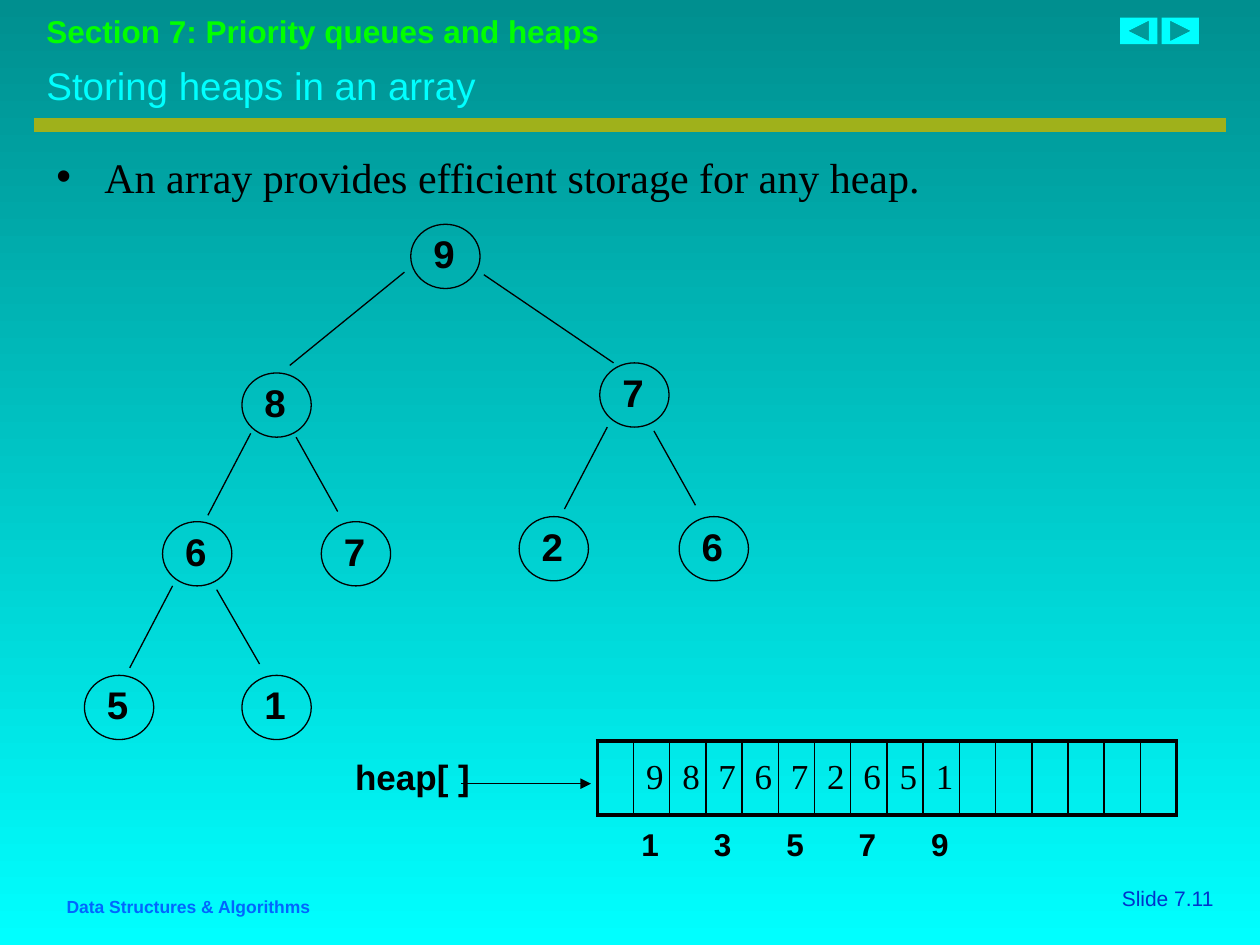
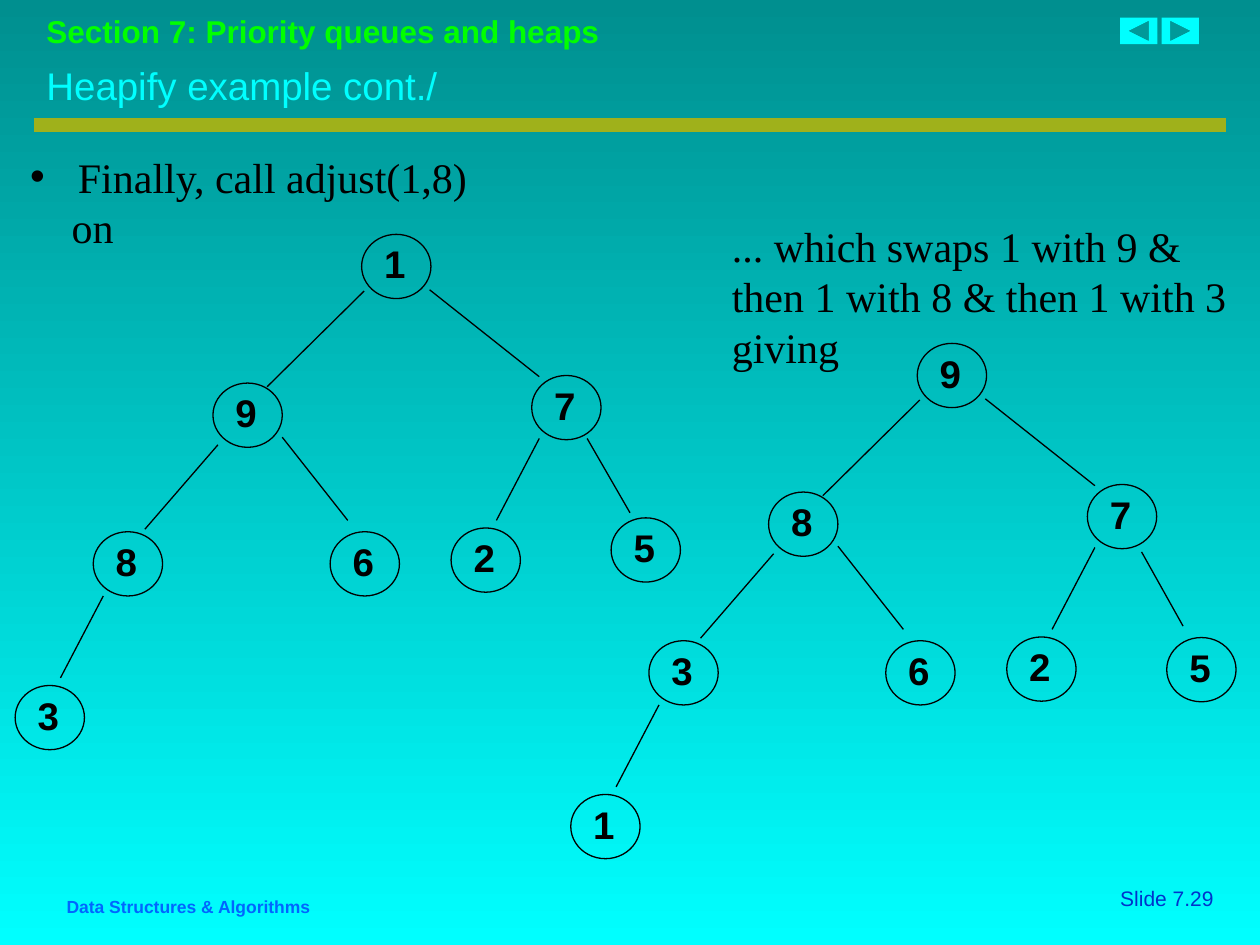
from lxml.etree import SubElement
from pptx import Presentation
from pptx.dml.color import RGBColor
from pptx.enum.shapes import MSO_CONNECTOR, MSO_SHAPE as Shape
from pptx.enum.text import MSO_ANCHOR as Anchor, PP_ALIGN as Align
from pptx.oxml.ns import qn
from pptx.util import Inches, Pt

TEAL = RGBColor(0x00, 0x8F, 0x8F)
CYAN = RGBColor(0x00, 0xFF, 0xFF)
OLIVE = RGBColor(0x9F, 0xB1, 0x1B)
GREEN = RGBColor(0x00, 0xFF, 0x00)
NAVY = RGBColor(0x00, 0x33, 0xCC)
BLUE = RGBColor(0x00, 0x66, 0xFF)
BLACK = RGBColor(0x00, 0x00, 0x00)
SANS, SERIF = "Arial", "Times New Roman"

deck = Presentation()
deck.slide_width, deck.slide_height = Inches(10), Inches(7.5)
COL = deck.slide_width // 100
ROW = deck.slide_height // 75
NODE_W, NODE_H = 5.5, 5.1


def write(slide, text, x, y, w, h, size, color=BLACK, font=SANS, bold=False,
          wrap=True, align=Align.LEFT, anchor=Anchor.TOP, indents=()):
    box = slide.shapes.add_textbox(int(x * COL), int(y * ROW), int(w * COL), int(h * ROW))
    frame = box.text_frame
    frame.text = text
    frame.word_wrap = wrap
    frame.vertical_anchor = anchor
    for indent, paragraph in zip(indents, frame.paragraphs):
        props = paragraph._p.get_or_add_pPr()
        props.set("marL", str(int(indent * COL)))
        if paragraph is not None and indent == BULLET_INDENT:
            props.set("indent", str(int(-indent * COL)))
            SubElement(props, qn("a:buFont"), typeface=SANS)
            SubElement(props, qn("a:buChar"), char="•")
    for paragraph in frame.paragraphs:
        paragraph.alignment = align
        for run in paragraph.runs:
            run.font.name, run.font.size, run.font.bold = font, Pt(size), bold
            run.font.color.rgb = color


def draw_line(slide, x1, y1, x2, y2, color=BLACK, width=0.75):
    line = slide.shapes.add_connector(
        MSO_CONNECTOR.STRAIGHT, int(x1 * COL), int(y1 * ROW), int(x2 * COL), int(y2 * ROW))
    line.line.color.rgb = color
    line.line.width = Pt(width)
    SubElement(line._element.spPr, qn("a:effectLst"))
    return line


BULLET_INDENT = 3.8
pages = []
for title, number in (("Storing heaps in an array", "7.11"),
                      ("Heapify example cont./", "7.29")):
    page = deck.slides.add_slide(deck.slide_layouts[6])
    backdrop = page.background.fill
    backdrop.gradient()
    backdrop.gradient_angle = 270
    for stop, color in zip(backdrop.gradient_stops, (TEAL, CYAN)):
        stop.color.rgb = color
    write(page, f"Slide {number}", 81.5, 69.8, 15.8, 3, 12, NAVY, align=Align.RIGHT)
    draw_line(page, 2.7, 9.9, 97.3, 9.9, OLIVE, 8)
    write(page, "Section 7: Priority queues and heaps", 2.7, 0.5, 94.5, 4, 18, GREEN, bold=True)
    for kind, x in ((Shape.ACTION_BUTTON_FORWARD_OR_NEXT, 92.2),
                    (Shape.ACTION_BUTTON_BACK_OR_PREVIOUS, 88.9)):
        button = page.shapes.add_shape(kind, int(x * COL), int(1.4 * ROW), int(2.95 * COL), int(2.1 * ROW))
        button.shadow.inherit = False
        button.fill.solid()
        button.fill.fore_color.rgb = CYAN
        button.line.fill.background()
    write(page, "Data Structures & Algorithms", 4.3, 70.6, 30.7, 2.7, 10, BLUE, bold=True)
    write(page, title, 2.7, 4.4, 92.1, 4.7, 22, CYAN, anchor=Anchor.MIDDLE)
    pages.append(page)
storing, heapify = pages

write(storing, "An array provides efficient storage for any heap.",
      3.5, 11.5, 93.7, 59.1, 24, font=SERIF, indents=(BULLET_INDENT,))
write(heapify, "Finally, call adjust(1,8)\non",
      1.4, 11.5, 95.9, 59.1, 24, font=SERIF, indents=(BULLET_INDENT, 3.3))

heap = (9, 8, 7, 6, 7, 2, 6, 5, 1)
heap_spots = ((32.6, 17.8), (19.2, 29.6), (47.6, 28.8), (12.9, 41.4), (25.5, 41.4),
              (41.2, 41), (53.9, 41), (6.7, 53.6), (19.2, 53.6))
heap_edges = ((32.1, 21.6, 23, 29), (38.4, 21.8, 48.7, 28.8),
              (19.9, 34.4, 16.5, 40.9), (23.5, 34.7, 26.8, 40.6),
              (48.2, 33.9, 44.8, 40.4), (51.9, 34.2, 55.2, 40.1),
              (13.7, 46.5, 10.3, 53), (17.2, 46.8, 20.6, 52.7))

adjust_spots = ((28.7, 18.6), (16.9, 30.4), (42.2, 29.8), (7.4, 42.2),
                (26.2, 42.2), (35.8, 41.9), (48.5, 41.1), (1.2, 54.4))
adjust_edges = ((28.9, 23.1, 21.2, 30.7), (34.1, 23, 42.8, 29.9),
                (17.3, 35.3, 11.5, 42), (22.4, 34.7, 27.6, 41.3),
                (42.8, 34.8, 39.4, 41.3), (46.6, 34.8, 50, 40.7),
                (8.2, 47.3, 4.8, 53.8))
RIGHT, DOWN = 44.1, 8.65
swapped_spots = [(x + RIGHT, y + DOWN) for x, y in adjust_spots]
swapped_spots[6] = (92.6, 50.6)
swapped_edges = [(x1 + RIGHT, y1 + DOWN, x2 + RIGHT, y2 + DOWN) for x1, y1, x2, y2 in adjust_edges]
swapped_edges[5] = (90.6, 43.8, 93.9, 49.7)

for page, values, spots, edges in (
        (storing, heap, heap_spots, heap_edges),
        (heapify, (1, 9, 7, 8, 6, 2, 5, 3), adjust_spots, adjust_edges),
        (heapify, (9, 8, 7, 3, 6, 2, 5, 1), swapped_spots, swapped_edges)):
    for edge in edges:
        draw_line(page, *edge)
    for value, (x, y) in zip(values, spots):
        node = page.shapes.add_shape(
            Shape.OVAL, int(x * COL), int(y * ROW), int(NODE_W * COL), int(NODE_H * ROW))
        node.shadow.inherit = False
        node.fill.background()
        node.line.color.rgb = BLACK
        node.line.width = Pt(0.75)
        write(page, str(value), x + 0.8, y, 3.9, 4.7, 22, bold=True)

write(storing, "heap[ ]", 27.2, 59.5, 12.4, 4.3, 20, bold=True)
pointer = draw_line(storing, 36.6, 62.2, 46.9, 62.2)
SubElement(pointer.line._get_or_add_ln(), qn("a:tailEnd"), type="triangle")

SLOTS, SLOT_W, ARRAY_X = 16, 2.875, 47.4
array = storing.shapes.add_table(
    1, SLOTS, int(ARRAY_X * COL), int(58.8 * ROW), int(SLOTS * SLOT_W * COL), int(5.9 * ROW)).table
array.first_row = array.horz_banding = False
for slot in range(SLOTS):
    array.columns[slot].width = int(SLOT_W * COL)
    cell = array.cell(0, slot)
    cell.vertical_anchor = Anchor.MIDDLE
    borders = {"L": 1 if slot else 2.25, "R": 1 if slot < SLOTS - 1 else 2.25, "T": 2.25, "B": 2.25}
    for side, width in borders.items():
        border = SubElement(cell._tc.get_or_add_tcPr(), qn(f"a:ln{side}"), w=str(Pt(width)))
        SubElement(SubElement(border, qn("a:solidFill")), qn("a:srgbClr"), val=str(BLACK))
    cell.fill.background()
    if 1 <= slot <= len(heap):
        cell.text_frame.text = str(heap[slot - 1])
        digit = cell.text_frame.paragraphs[0].runs[0].font
        digit.name, digit.size, digit.color.rgb = SERIF, Pt(20), BLACK
    if slot % 2 and slot <= len(heap):
        write(storing, str(slot), ARRAY_X - 0.35 + slot * SLOT_W, 65, 3.4, 4, 18, bold=True, wrap=False)

write(heapify, "... which swaps 1 with 9 & then 1 with 8 & then 1 with 3 giving",
      57.1, 17, 42.9, 13, 24, font=SERIF)

deck.save("out.pptx")
